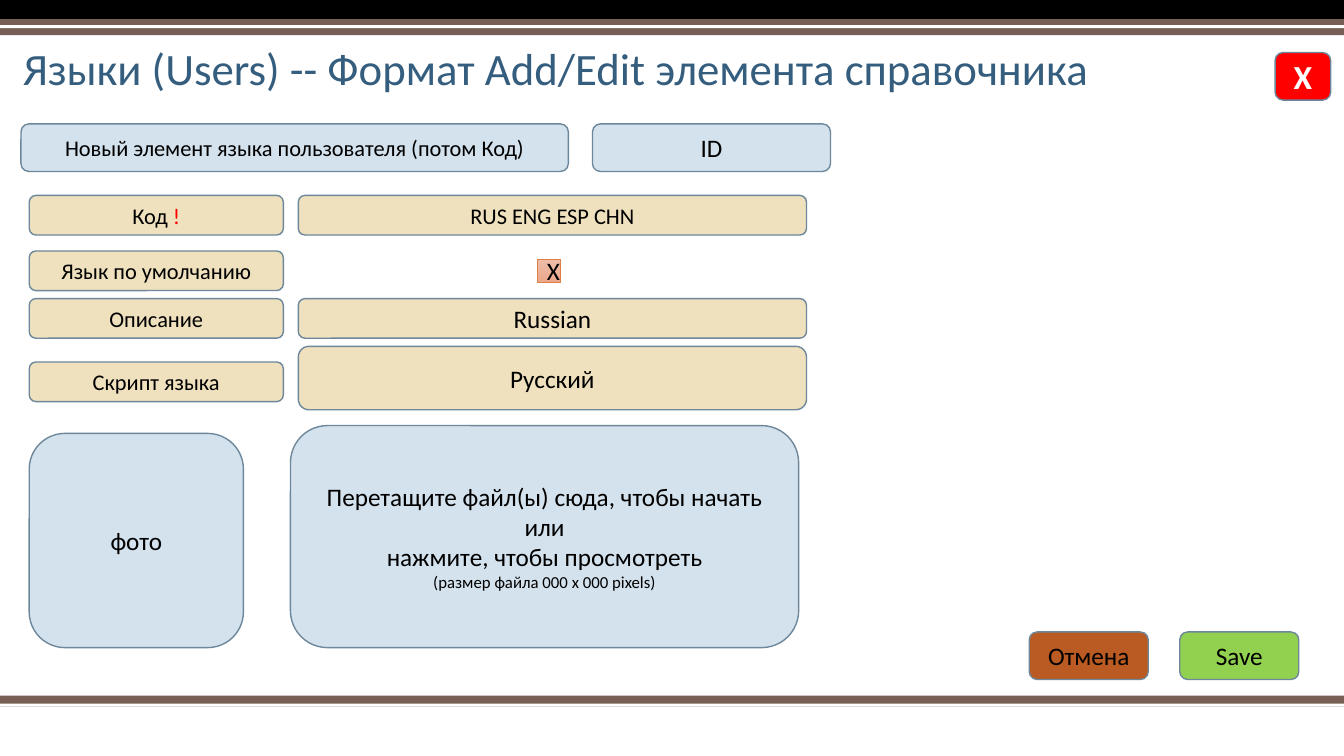
from dataclasses import dataclass
from typing import Optional

from pptx import Presentation
from pptx.dml.color import RGBColor as Rgb
from pptx.enum.shapes import MSO_SHAPE as Kind
from pptx.enum.text import MSO_ANCHOR as Anchor, PP_ALIGN as Align
from pptx.shapes.autoshape import Shape
from pptx.slide import Slide
from pptx.text.text import _Paragraph as Para
from pptx.util import Pt


@dataclass(frozen=True)
class Theme:
    font: str = "Calibri"
    head: int = 32
    close: int = 24
    body: int = 18
    label: int = 16
    note: int = 12
    ink: str = "000000"
    white: str = "FFFFFF"
    red: str = "FF0000"
    title: str = "355D7E"
    brown: str = "775F55"
    edge: str = "6D879B"
    blue: str = "D4E2ED"
    sand: str = "EFE0BE"
    rust: str = "B95B22"
    green: str = "92D050"
    tick: str = "DD8047"
    tick_top: str = "EEBEAA"
    tick_end: str = "EBA78A"


T = Theme()
WIDE, HIGH = 960, 540


@dataclass(frozen=True)
class Area:
    left: float
    top: float
    width: float
    height: float


@dataclass(frozen=True)
class Tail:
    """Closing words of a text that differ in size or colour."""
    text: str
    size: int
    color: str


@dataclass(frozen=True)
class Box:
    text: str
    area: Area
    fill: str
    size: int = T.body
    color: str = T.ink
    bold: bool = False
    tail: Optional[Tail] = None


@dataclass(frozen=True)
class Band:
    top: float
    height: float
    fill: str


BANDS = (
    Band(496.8, 7.9, T.brown),
    Band(502.6, 2.2, T.white),
    Band(0, 13.7, T.ink),
    Band(13.7, 11.5, T.brown),
    Band(18, 2.2, T.white),
)


def label(text: str, top: float, tail: Optional[Tail] = None) -> Box:
    return Box(text, Area(20.9, top, 181.5, 28.3), T.sand, T.label, tail=tail)


def field(text: str, top: float, height: float = 28.3, size: int = T.body) -> Box:
    return Box(text, Area(213.1, top, 363, height), T.sand, size)


def button(text: str, left: float, fill: str) -> Box:
    return Box(text, Area(left, 451.4, 85, 34), fill)


BOXES = (
    Box("Новый элемент языка пользователя (потом Код)",
        Area(15, 88.5, 391, 34), T.blue, T.label),
    Box("ID", Area(423.2, 88.5, 170, 34), T.blue),
    Box("Х", Area(910.8, 37.5, 39.7, 34), T.red, T.close, T.white, True),
    label("Код ", 139.6, Tail("!", T.label, T.red)),
    field("RUS ENG ESP CHN", 139.6, size=T.label),
    label("Язык по умолчанию", 179.3),
    label("Описание", 213.3),
    field("Russian", 213.3),
    label("Скрипт языка", 258.6),
    field("Русский", 247.4, 45.3),
    Box("фото", Area(20.9, 309.6, 153, 153), T.blue),
    Box("Перетащите файл(ы) сюда, чтобы начать или\nнажмите, чтобы просмотреть\n",
        Area(207.5, 304, 363, 158.6), T.blue,
        tail=Tail("(размер файла 000 x 000 pixels)", T.note, T.ink)),
    button("Отмена", 735.2, T.rust),
    button("Save", 842.7, T.green),
)


def place(slide: Slide, kind: Kind, area: Area) -> Shape:
    shape = slide.shapes.add_shape(
        kind, Pt(area.left), Pt(area.top), Pt(area.width), Pt(area.height))
    shape.shadow.inherit = False
    return shape


def paint(shape: Shape, fill: str) -> None:
    shape.fill.solid()
    shape.fill.fore_color.rgb = Rgb.from_string(fill)


def edge(shape: Shape, color: str, width: float) -> None:
    shape.line.color.rgb = Rgb.from_string(color)
    shape.line.width = Pt(width)


def style(para: Para, size: int, color: str, bold: bool = False) -> None:
    para.font.name = T.font
    para.font.size = Pt(size)
    para.font.bold = bold
    para.font.color.rgb = Rgb.from_string(color)


def write(shape: Shape, box: Box) -> None:
    frame = shape.text_frame
    frame.word_wrap = True
    frame.vertical_anchor = Anchor.MIDDLE
    para = frame.paragraphs[0]
    para.alignment = Align.CENTER
    style(para, box.size, box.color, box.bold)
    for num, line in enumerate(box.text.split("\n")):
        if num:
            para.add_line_break()
        if line:
            para.add_run().text = line
    if box.tail:
        run = para.add_run()
        run.text = box.tail.text
        run.font.size = Pt(box.tail.size)
        run.font.color.rgb = Rgb.from_string(box.tail.color)


def draw_band(slide: Slide, band: Band) -> None:
    shape = place(slide, Kind.RECTANGLE, Area(0, band.top, WIDE, band.height))
    paint(shape, band.fill)
    shape.line.fill.background()


def draw_title(slide: Slide) -> None:
    box = slide.shapes.add_textbox(Pt(9.4), Pt(25.9), Pt(831), Pt(45.4))
    frame = box.text_frame
    frame.word_wrap = True
    frame.vertical_anchor = Anchor.BOTTOM
    para = frame.paragraphs[0]
    para.text = "Языки (Users) -- Формат Add/Edit элемента справочника"
    para.line_spacing = 0.9
    style(para, T.head, T.title)


def draw_box(slide: Slide, box: Box) -> None:
    shape = place(slide, Kind.ROUNDED_RECTANGLE, box.area)
    paint(shape, box.fill)
    edge(shape, T.edge, 1)
    write(shape, box)


def draw_tick(slide: Slide) -> None:
    box = Box("X", Area(383.6, 185, 17, 17), T.tick_top)
    shape = place(slide, Kind.RECTANGLE, box.area)
    shape.fill.gradient()
    shape.fill.gradient_angle = 270
    for stop, color in zip(shape.fill.gradient_stops, (T.tick_top, T.tick_end)):
        stop.color.rgb = Rgb.from_string(color)
    edge(shape, T.tick, 0.5)
    write(shape, box)


def main() -> None:
    deck = Presentation()
    deck.slide_width, deck.slide_height = Pt(WIDE), Pt(HIGH)
    slide = deck.slides.add_slide(deck.slide_layouts[6])
    for band in BANDS:
        draw_band(slide, band)
    draw_title(slide)
    for box in BOXES:
        draw_box(slide, box)
    draw_tick(slide)
    deck.save("out.pptx")


if __name__ == "__main__":
    main()
